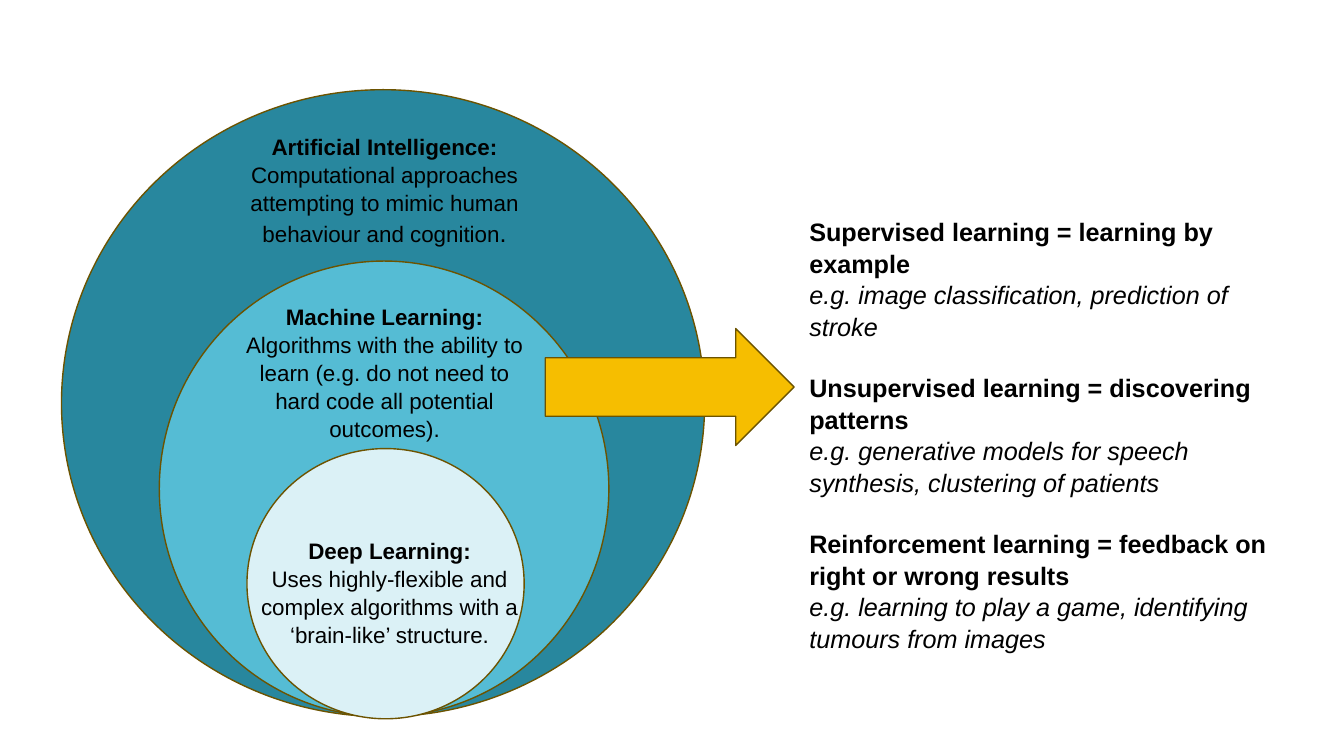
"""Build a slide of nested AI circles with an arrow to the types of machine learning."""
from pptx import Presentation
from pptx.dml.color import RGBColor
from pptx.enum.shapes import MSO_SHAPE
from pptx.enum.text import MSO_AUTO_SIZE, PP_ALIGN
from pptx.util import Pt

COLOURS = {
    "ai": "28879E",
    "machine": "55BCD4",
    "deep": "DBF1F6",
    "arrow": "F6BE00",
    "outline": "6C5300",
    "text": "000000",
}
LINE_SPACING = 1.04
TOPIC_GAP = 21.6

CIRCLES = [
    ("ai", (43.9, 64.1, 459.4, 447.8)),
    ("machine", (113.8, 186.5, 321.1, 325.4)),
    ("deep", (176.4, 320.4, 198, 193)),
]
CAPTIONS = [
    ((168.5, 90.7, 212.4, 87.1), "Artificial Intelligence:",
     [("Computational approaches attempting to mimic human behaviour and cognition", 16), (".", 18)]),
    ((168.5, 212.4, 212.4, 104.4), "Machine Learning:",
     [("Algorithms with the ability to learn (e.g. do not need to hard code all potential outcomes).", 16)]),
    ((172.1, 379.4, 212.4, 85), "Deep Learning:",
     [("Uses highly-flexible and complex algorithms with a ‘brain-like’ structure.", 16)]),
]
LEARNING_TYPES = [
    ("Supervised learning = learning by example",
     "e.g. image classification, prediction of stroke"),
    ("Unsupervised learning = discovering patterns",
     "e.g. generative models for speech synthesis, clustering of patients"),
    ("Reinforcement learning = feedback on right or wrong results",
     "e.g. learning to play a game, identifying tumours from images"),
]


def colour(name):
    return RGBColor.from_string(COLOURS[name])


def add_outlined_shape(page, kind, bounds, fill):
    shape = page.shapes.add_shape(kind, *map(Pt, bounds))
    shape.shadow.inherit = False
    shape.fill.solid()
    shape.fill.fore_color.rgb = colour(fill)
    shape.line.color.rgb = colour("outline")
    shape.line.width = Pt(1)


def add_text_box(page, bounds):
    frame = page.shapes.add_textbox(*map(Pt, bounds)).text_frame
    frame.word_wrap = True
    frame.auto_size = MSO_AUTO_SIZE.SHAPE_TO_FIT_TEXT
    return frame


def write_para(para, spans, bold=False, italic=False, align=PP_ALIGN.LEFT):
    para.alignment = align
    para.line_spacing = LINE_SPACING
    for text, size in spans:
        span = para.add_run()
        span.text = text
        span.font.name = "Arial"
        span.font.size = Pt(size)
        span.font.bold = bold
        span.font.italic = italic
        span.font.color.rgb = colour("text")


def add_caption(page, bounds, heading, spans):
    frame = add_text_box(page, bounds)
    write_para(frame.paragraphs[0], [(heading, 16)], bold=True, align=PP_ALIGN.CENTER)
    write_para(frame.add_paragraph(), spans, align=PP_ALIGN.CENTER)


def add_learning_types(page, bounds):
    frame = add_text_box(page, bounds)
    for index, (definition, example) in enumerate(LEARNING_TYPES):
        para = frame.add_paragraph() if index else frame.paragraphs[0]
        write_para(para, [(definition, 18)], bold=True)
        if index:
            para.space_before = Pt(TOPIC_GAP)
        write_para(frame.add_paragraph(), [(example, 18)], italic=True)


def main():
    deck = Presentation()
    deck.slide_width, deck.slide_height = Pt(960), Pt(540)
    page = deck.slides.add_slide(deck.slide_layouts[6])
    for fill, bounds in CIRCLES:
        add_outlined_shape(page, MSO_SHAPE.OVAL, bounds, fill)
    for bounds, heading, spans in CAPTIONS:
        add_caption(page, bounds, heading, spans)
    add_learning_types(page, (571, 150.5, 348.5, 312.5))
    add_outlined_shape(page, MSO_SHAPE.RIGHT_ARROW, (389.5, 234.7, 177.8, 83.5), "arrow")
    deck.save("out.pptx")


if __name__ == "__main__":
    main()
